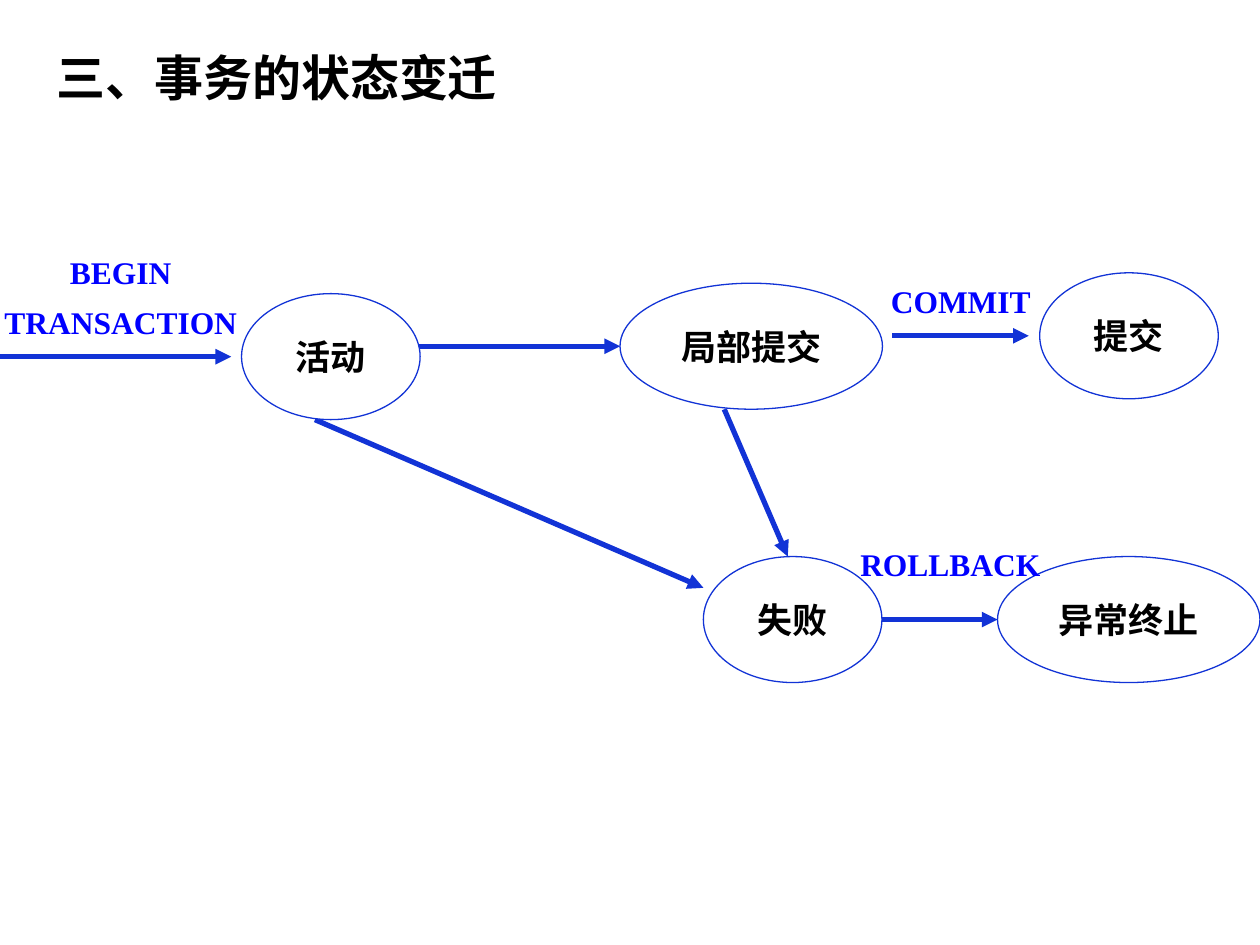
import pptx
import pptx.util
import pptx.dml.color
import pptx.enum.shapes
import pptx.enum.text
import pptx.oxml.ns
import lxml.etree

Cm = pptx.util.Cm
Pt = pptx.util.Pt
ALIGN = pptx.enum.text.PP_ALIGN
ANCHOR = pptx.enum.text.MSO_ANCHOR

COLORS = {"text": "000000", "label": "0000FF", "line": "1233D6", "fill": "FFFFFF"}
LATIN = "Times New Roman"
CHINESE = "Noto Sans CJK SC"
STATE_HEIGHT = 2.54
NARROW, WIDE = 3.6, 5.29
LABEL_WIDTH, LABEL_HEIGHT = 4.88, 0.86

STATES = [
    ("活动", 4.87, 0.79, NARROW),
    ("失败", 14.18, 6.09, NARROW),
    ("局部提交", 12.5, 0.58, WIDE),
    ("提交", 20.96, 0.37, NARROW),
    ("异常终止", 20.11, 6.09, WIDE),
]
TRANSITIONS = [
    (0, 2.06, 4.66, 2.06),
    (7.83, 1.85, 12.5, 1.85),
    (17.78, 7.36, 20.11, 7.36),
    (17.99, 1.64, 20.74, 1.64),
    (6.35, 3.33, 14.18, 6.72),
    (14.6, 3.12, 15.88, 6.09),
]
COMMANDS = [
    ("BEGIN\nTRANSACTION", -0.64, 0, 6.15, 1.88),
    ("COMMIT", 16.93, 0.58, LABEL_WIDTH, LABEL_HEIGHT),
    ("ROLLBACK", 16.72, 5.87, LABEL_WIDTH, LABEL_HEIGHT),
]


def rgb(name):
    """Return the named colour."""
    return pptx.dml.color.RGBColor.from_string(COLORS[name])


def format_runs(frame, size, color, font, align):
    """Format every run of a text frame."""
    for paragraph in frame.paragraphs:
        paragraph.alignment = align
        for run in paragraph.runs:
            run.font.size = Pt(size)
            run.font.bold = True
            run.font.name = font
            run.font.color.rgb = rgb(color)
            east_asian = lxml.etree.SubElement(
                run.font._element, pptx.oxml.ns.qn("a:ea"))
            east_asian.set("typeface", CHINESE)


def add_heading(slide, left, top, width, height):
    """Place the slide title in the given box."""
    heading = slide.shapes.title
    heading.left, heading.top = Cm(left), Cm(top)
    heading.width, heading.height = Cm(width), Cm(height)
    frame = heading.text_frame
    frame.text = "三、事务的状态变迁"
    frame.margin_left = Cm(0.5)
    frame.vertical_anchor = ANCHOR.TOP
    frame.auto_size = pptx.enum.text.MSO_AUTO_SIZE.NONE
    format_runs(frame, 28, "text", CHINESE, ALIGN.LEFT)


def add_transition(slide, x1, y1, x2, y2):
    """Draw an arrow between two points."""
    arrow = slide.shapes.add_connector(
        pptx.enum.shapes.MSO_CONNECTOR.STRAIGHT, Cm(x1), Cm(y1), Cm(x2), Cm(y2))
    arrow.line.color.rgb = rgb("line")
    arrow.line.width = Pt(3)
    qn = pptx.oxml.ns.qn
    head = lxml.etree.SubElement(arrow.line._get_or_add_ln(), qn("a:tailEnd"))
    head.set("type", "triangle")
    lxml.etree.SubElement(arrow._element.spPr, qn("a:effectLst"))


def add_state(slide, name, left, top, width):
    """Draw a transaction state as a named ellipse."""
    state = slide.shapes.add_shape(
        pptx.enum.shapes.MSO_SHAPE.OVAL,
        Cm(left), Cm(top), Cm(width), Cm(STATE_HEIGHT))
    state.shadow.inherit = False
    state.fill.solid()
    state.fill.fore_color.rgb = rgb("fill")
    state.line.color.rgb = rgb("line")
    state.line.width = Pt(0.75)
    frame = state.text_frame
    frame.text = name
    frame.word_wrap = False
    frame.vertical_anchor = ANCHOR.MIDDLE
    format_runs(frame, 20, "text", LATIN, ALIGN.CENTER)


def add_command(slide, text, left, top, width, height):
    """Write the command that triggers a transition."""
    command = slide.shapes.add_textbox(Cm(left), Cm(top), Cm(width), Cm(height))
    frame = command.text_frame
    frame.word_wrap = True
    frame.text = text
    for index, paragraph in enumerate(frame.paragraphs):
        paragraph.line_spacing = 0.8
        paragraph.space_before = Pt(11.2 if index else 0)
    format_runs(frame, 18, "label", LATIN, ALIGN.CENTER)


def add_state_diagram(slide, left, top):
    """Draw the transaction state diagram from its top left corner."""
    for x1, y1, x2, y2 in TRANSITIONS:
        add_transition(slide, left + x1, top + y1, left + x2, top + y2)
    for name, x, y, width in STATES:
        add_state(slide, name, left + x, top + y, width)
    for text, x, y, width, height in COMMANDS:
        add_command(slide, text, left + x, top + y, width, height)


def main():
    """Build and save the presentation."""
    deck = pptx.Presentation()
    deck.slide_width, deck.slide_height = Cm(25.4), Cm(19.05)
    slide = deck.slides.add_slide(deck.slide_layouts.get_by_name("Title Only"))
    add_heading(slide, 0.64, 0.84, 10.26, 1.45)
    add_state_diagram(slide, 0, 5.13)
    deck.save("out.pptx")


if __name__ == "__main__":
    main()
